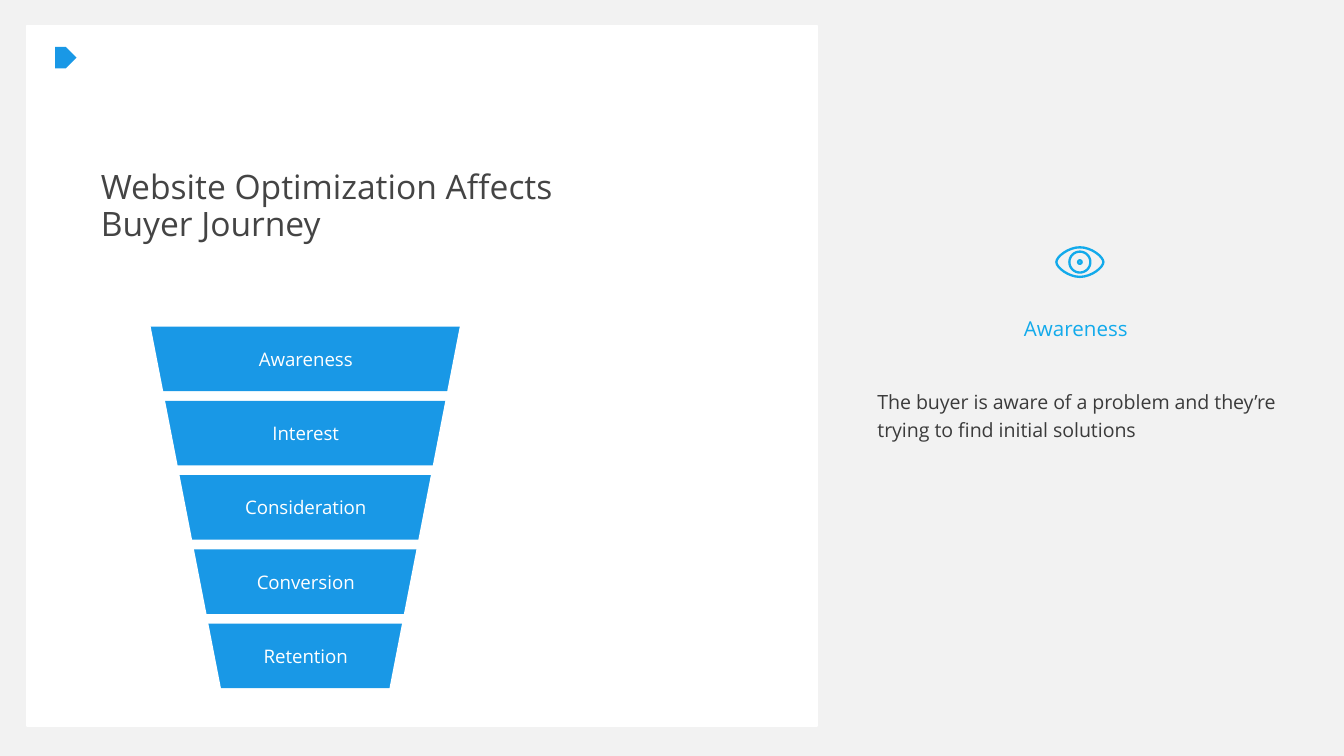
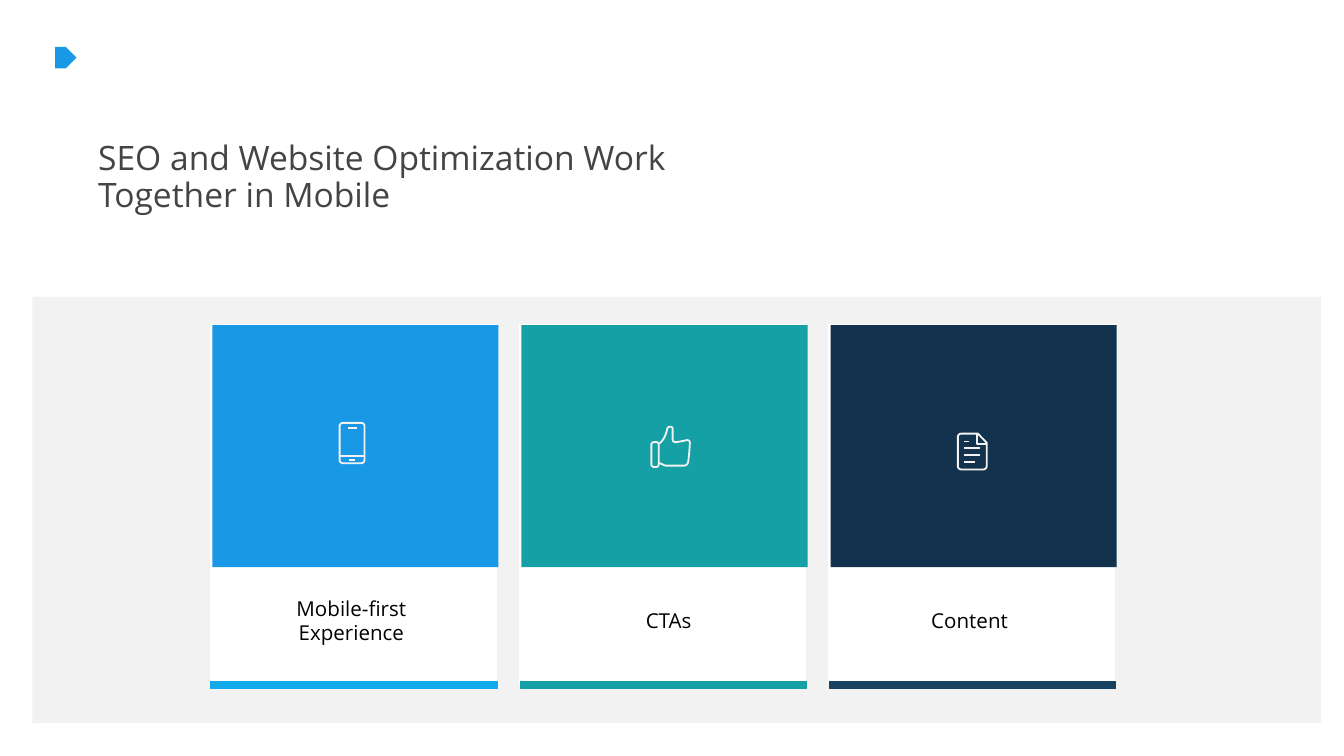
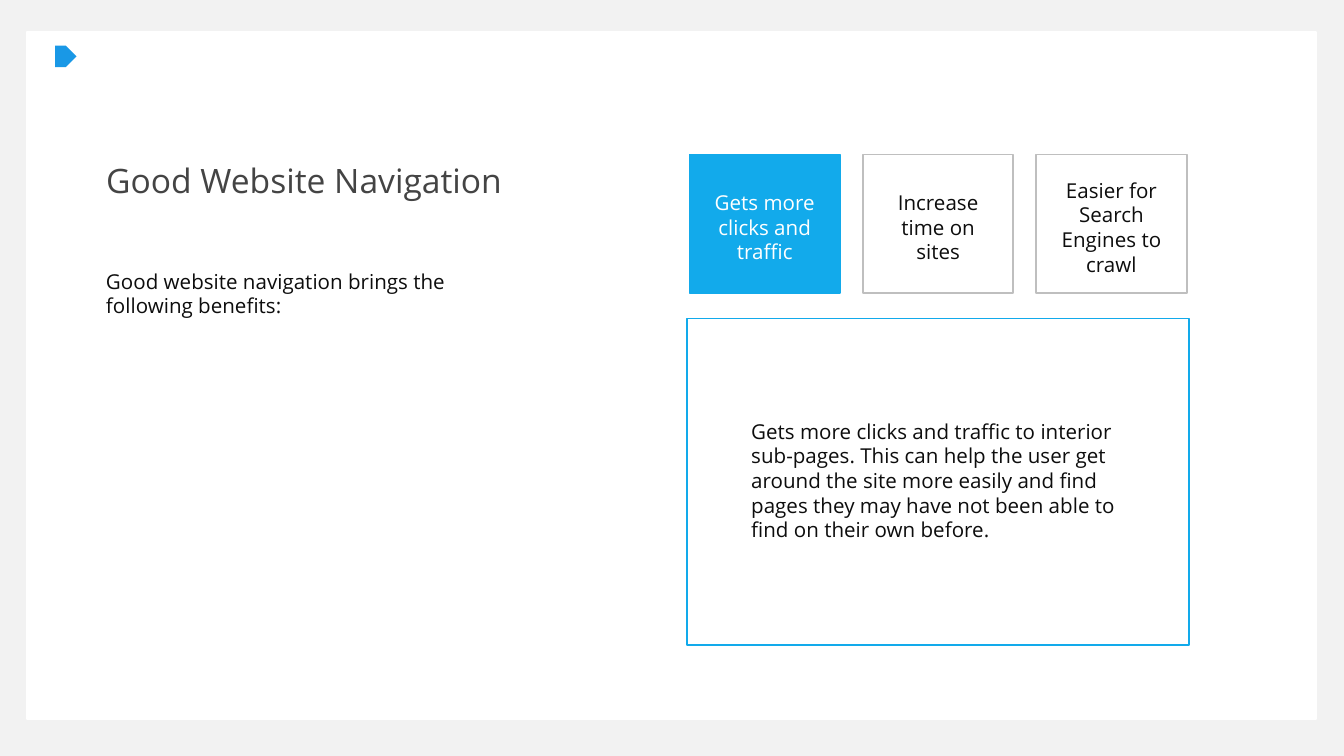
import math

import pptx
import pptx.dml.color
import pptx.enum.shapes
import pptx.enum.text
import pptx.util

Inches = pptx.util.Inches
Pt = pptx.util.Pt
SHAPE = pptx.enum.shapes.MSO_SHAPE
ALIGN = pptx.enum.text.PP_ALIGN
ANCHOR = pptx.enum.text.MSO_ANCHOR

FONT = "Open Sans"
WHITE = "FFFFFF"
PALE = "F2F2F2"
BLUE = "1998E6"
SKY = "12AAEB"
TEAL = "14A0A4"
NAVY = "13324D"
DEEP_BLUE = "174260"
GREY = "BFBFBF"
TITLE_GREY = "444444"
TEXT_GREY = "3B3B3B"
INK = "0D0D0D"
BLACK = "000000"


def rgb(color):
    return pptx.dml.color.RGBColor.from_string(color)


def box_args(box):
    return [Inches(length) for length in box]


def write(frame, lines, size, color, align=ALIGN.LEFT, anchor=ANCHOR.TOP,
          insets=(0.1, 0.05, 0.1, 0.05), spacing=None):
    frame.word_wrap = True
    frame.auto_size = pptx.enum.text.MSO_AUTO_SIZE.NONE
    frame.vertical_anchor = anchor
    (frame.margin_left, frame.margin_top,
     frame.margin_right, frame.margin_bottom) = box_args(insets)
    frame.text = "\n".join(lines)
    for paragraph in frame.paragraphs:
        paragraph.alignment = align
        if spacing:
            paragraph.line_spacing = spacing
        paragraph.font.name = FONT
        paragraph.font.size = Pt(size)
        paragraph.font.color.rgb = rgb(color)


def paint(shape, fill=None, line=None, weight=1):
    shape.shadow.inherit = False
    if fill:
        shape.fill.solid()
        shape.fill.fore_color.rgb = rgb(fill)
    else:
        shape.fill.background()
    if line:
        shape.line.color.rgb = rgb(line)
        shape.line.width = Pt(weight)
    else:
        shape.line.fill.background()
    return shape


def add_block(shapes, box, fill=None, line=None, weight=1, kind=SHAPE.RECTANGLE):
    return paint(shapes.add_shape(kind, *box_args(box)), fill, line, weight)


def add_text(slide, box, lines, size, color, **style):
    label = slide.shapes.add_textbox(*box_args(box))
    write(label.text_frame, lines, size, color, **style)


def add_page(deck, background, panel, panel_fill=WHITE, panel_line=WHITE, mark_top=0.35):
    slide = deck.slides.add_slide(deck.slide_layouts[5])
    slide.background.fill.solid()
    slide.background.fill.fore_color.rgb = rgb(background)
    add_block(slide.shapes, panel, panel_fill, panel_line)
    add_block(slide.shapes, (0.41, mark_top, 0.16, 0.16), BLUE, kind=SHAPE.PENTAGON)
    return slide


def add_title(slide, box, title, anchor=ANCHOR.TOP):
    heading = slide.shapes.title
    slide.shapes._spTree.append(heading._element)
    heading.left, heading.top, heading.width, heading.height = box_args(box)
    write(heading.text_frame, [title], 18, TITLE_GREY, anchor=anchor, spacing=0.9)


def arc(x, y, radius, start, end, steps=8):
    angles = [math.radians(start + (end - start) * i / steps) for i in range(steps + 1)]
    return [(x + radius * math.cos(a), y + radius * math.sin(a)) for a in angles]


def rounded(x, y, width, height, radius):
    right, bottom = x + width - radius, y + height - radius
    x, y = x + radius, y + radius
    return (arc(right, bottom, radius, 0, 90) + arc(x, bottom, radius, 90, 180)
            + arc(x, y, radius, 180, 270) + arc(right, y, radius, 270, 360)
            + [(right + radius, bottom)])


def bezier(points, steps=8):
    curve = [points[0]]
    for first in range(0, len(points) - 1, 3):
        controls = points[first:first + 4]
        for i in range(1, steps + 1):
            t = i / steps
            weights = [math.comb(3, k) * t ** k * (1 - t) ** (3 - k) for k in range(4)]
            curve.append(tuple(sum(w * point[axis] for w, point in zip(weights, controls))
                               for axis in (0, 1)))
    return curve


def add_icon(slide, left, top, contours, color, weight):
    traced = [[(Inches(x / 100), Inches(y / 100)) for x, y in contour]
              for contour in contours]
    builder = slide.shapes.build_freeform(*traced[0][0], scale=1.0)
    for number, contour in enumerate(traced):
        if number:
            builder.move_to(*contour[0])
        builder.add_line_segments(contour[1:], close=False)
    paint(builder.convert_to_shape(Inches(left), Inches(top)), line=color, weight=weight)


EYE = [
    bezier([(1, 12), (1, 8), (10, 1), (18.5, 1), (27, 1), (36, 8), (36, 12),
            (36, 16), (27, 23), (18.5, 23), (10, 23), (1, 16), (1, 12)]),
    arc(18.5, 12, 7.8, 0, 360, 32),
    arc(18.5, 12, 1.3, 0, 360, 16),
]
PHONE = [
    rounded(0.7, 0.7, 18.6, 30, 2.5),
    [(0.7, 25.5), (19.3, 25.5)],
    [(7, 4.5), (13.5, 4.5)],
    [(8, 28.3), (12, 28.3)],
]
THUMB = [
    rounded(0.7, 12, 5.5, 18.5, 2),
    bezier([(6.5, 13), (10, 11), (12, 5), (12.5, 2), (13, 0), (16.5, 0), (16.5, 2)])
    + bezier([(16.5, 10), (16.5, 11.5), (17.5, 12), (19, 12), (20, 12), (25, 11), (27, 10.5),
              (28.5, 10.5), (29.5, 11), (29.3, 13), (29, 19), (28.5, 24), (28, 27),
              (27.5, 28.5), (26.5, 29.5), (25, 29.5)])
    + [(11, 29.5), (6.5, 27.5)],
]
DOCUMENT = [
    [(15.7, 0.7), (22.2, 7.5)] + arc(19.7, 24.8, 2.5, 0, 90)
    + arc(3.2, 24.8, 2.5, 90, 180) + arc(3.2, 3.2, 2.5, 180, 270) + [(15.7, 0.7)],
    [(14.7, 0.7), (14.7, 8.3), (22.2, 8.3)],
] + [[(5.5, y), (end, y)] for y, end in ((6.5, 9), (11.5, 17.5), (16.5, 17.5), (21.5, 13.5))]


def add_funnel(slide, left, top, width, height, stages):
    bar_height = 0.48
    pitch = (height - bar_height) / (len(stages) - 1)
    bars = slide.shapes.add_group_shape()
    for row, stage in enumerate(stages):
        bar = add_block(bars.shapes, (left, top + pitch * row, width, bar_height),
                        BLUE, kind=SHAPE.ROUNDED_RECTANGLE)
        bar.adjustments[0] = 0.04
        write(bar.text_frame, [stage], 10, WHITE, ALIGN.CENTER, ANCHOR.MIDDLE,
              (0.28, 0.05, 0.28, 0.05))
    sides = slide.shapes.add_group_shape()
    for dx, dy, side_width, side_height, tilt in ((-0.36, -0.79, 0.65, 3.69, -11),
                                                  (2.21, -0.89, 0.74, 3.72, 11)):
        side = add_block(sides.shapes, (left + dx, top + dy, side_width, side_height), WHITE)
        side.rotation = tilt


def add_stage_note(slide, left, top, stage, note):
    add_icon(slide, left + 1.42, top, EYE, SKY, 1.25)
    add_text(slide, (left + 1.09, top + 0.47, 1.02, 0.29), [stage], 11, SKY)
    add_text(slide, (left, top + 0.99, 3.21, 0.53), [note], 10.5, TEXT_GREY, spacing=1.2)


def add_card(slide, left, top, lines, label_left, fill, accent, icon, icon_left, icon_top):
    add_block(slide.shapes, (left - 0.01, top, 2.12, 2.66), WHITE, WHITE)
    add_block(slide.shapes, (left - 0.01, top + 2.65, 2.13, 0.05), accent, accent, 0.5)
    add_block(slide.shapes, (left, top, 2.13, 1.8), fill)
    add_icon(slide, left + icon_left, top + icon_top, icon, PALE, 1)
    add_text(slide, (left + label_left, top + 1.96, 1.51, 0.47), lines, 11, BLACK,
             align=ALIGN.CENTER, anchor=ANCHOR.MIDDLE)


def add_benefits(slide, left, top, benefits, detail):
    for column, benefit in enumerate(benefits):
        chosen = column == 0
        tab = add_block(slide.shapes, (left + 0.02 + 1.29 * column, top, 1.12, 1.03),
                        SKY if chosen else None, SKY if chosen else GREY)
        write(tab.text_frame, [benefit], 11, WHITE if chosen else INK, ALIGN.CENTER,
              ANCHOR.MIDDLE, (0.14, 0.08, 0.14, 0.03))
    panel = add_block(slide.shapes, (left, top + 1.22, 3.74, 2.43), line=SKY)
    write(panel.text_frame, [detail], 11, INK, anchor=ANCHOR.MIDDLE,
          insets=(0.48, 0.05, 0.28, 0.07))


def journey_slide(deck):
    slide = add_page(deck, PALE, (0.2, 0.19, 5.88, 5.21))
    add_funnel(slide, 1.03, 2.43, 2.49, 2.69,
               ["Awareness", "Interest", "Consideration", "Conversion", "Retention"])
    add_title(slide, (0.65, 1.22, 4.05, 0.65), "Website Optimization Affects Buyer Journey")
    add_stage_note(slide, 6.43, 1.83, "Awareness",
                   "The buyer is aware of a problem and they’re trying to find initial solutions")


def mobile_slide(deck):
    slide = add_page(deck, WHITE, (0.24, 2.21, 9.59, 3.17), PALE, None)
    add_title(slide, (0.63, 1.13, 4.96, 0.39),
              "SEO and Website Optimization Work Together in Mobile", ANCHOR.MIDDLE)
    cards = [
        (["Mobile-first", "Experience"], 0.28, BLUE, SKY, PHONE, 0.94, 0.72),
        (["CTAs"], 0.34, TEAL, TEAL, THUMB, 0.96, 0.75),
        (["Content"], 0.28, NAVY, DEEP_BLUE, DOCUMENT, 0.94, 0.8),
    ]
    for column, card in enumerate(cards):
        add_card(slide, 1.58 + 2.3 * column, 2.42, *card)


def navigation_slide(deck):
    slide = add_page(deck, PALE, (0.2, 0.24, 9.59, 5.11), mark_top=0.34)
    add_title(slide, (0.69, 1.17, 3.15, 0.37), "Good Website Navigation")
    add_text(slide, (0.69, 1.95, 3.29, 0.47),
             ["Good website navigation brings the following benefits:"], 11, INK)
    add_benefits(slide, 5.11, 1.15,
                 ["Gets more clicks and traffic", "Increase time on sites",
                  "Easier for Search Engines to crawl"],
                 "Gets more clicks and traffic to interior sub-pages. This can help the user "
                 "get around the site more easily and find pages they may have not been able "
                 "to find on their own before.")


def main():
    deck = pptx.Presentation()
    deck.slide_width, deck.slide_height = Inches(10), Inches(10) * 9 // 16
    journey_slide(deck)
    mobile_slide(deck)
    navigation_slide(deck)
    deck.save("out.pptx")


if __name__ == "__main__":
    main()
